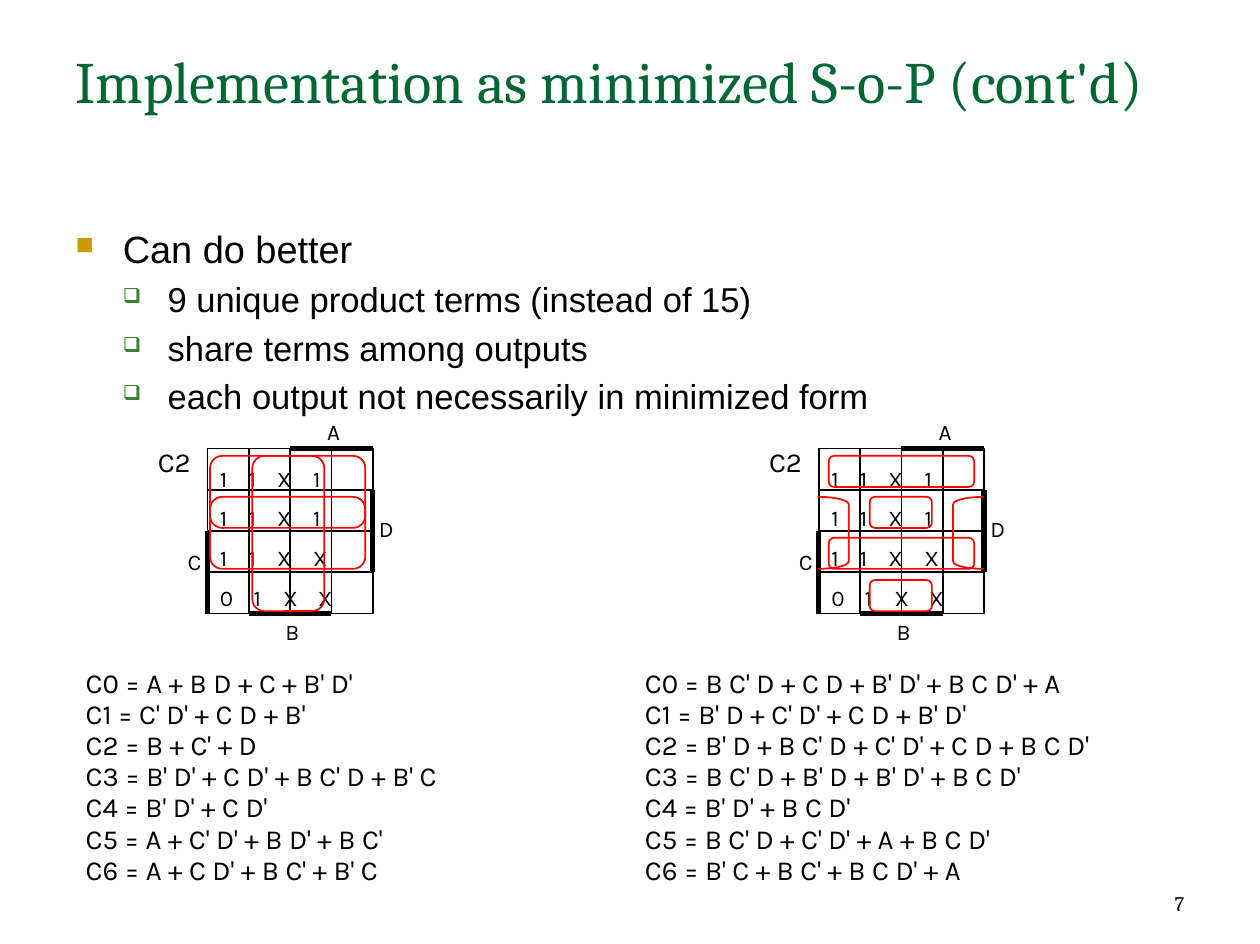
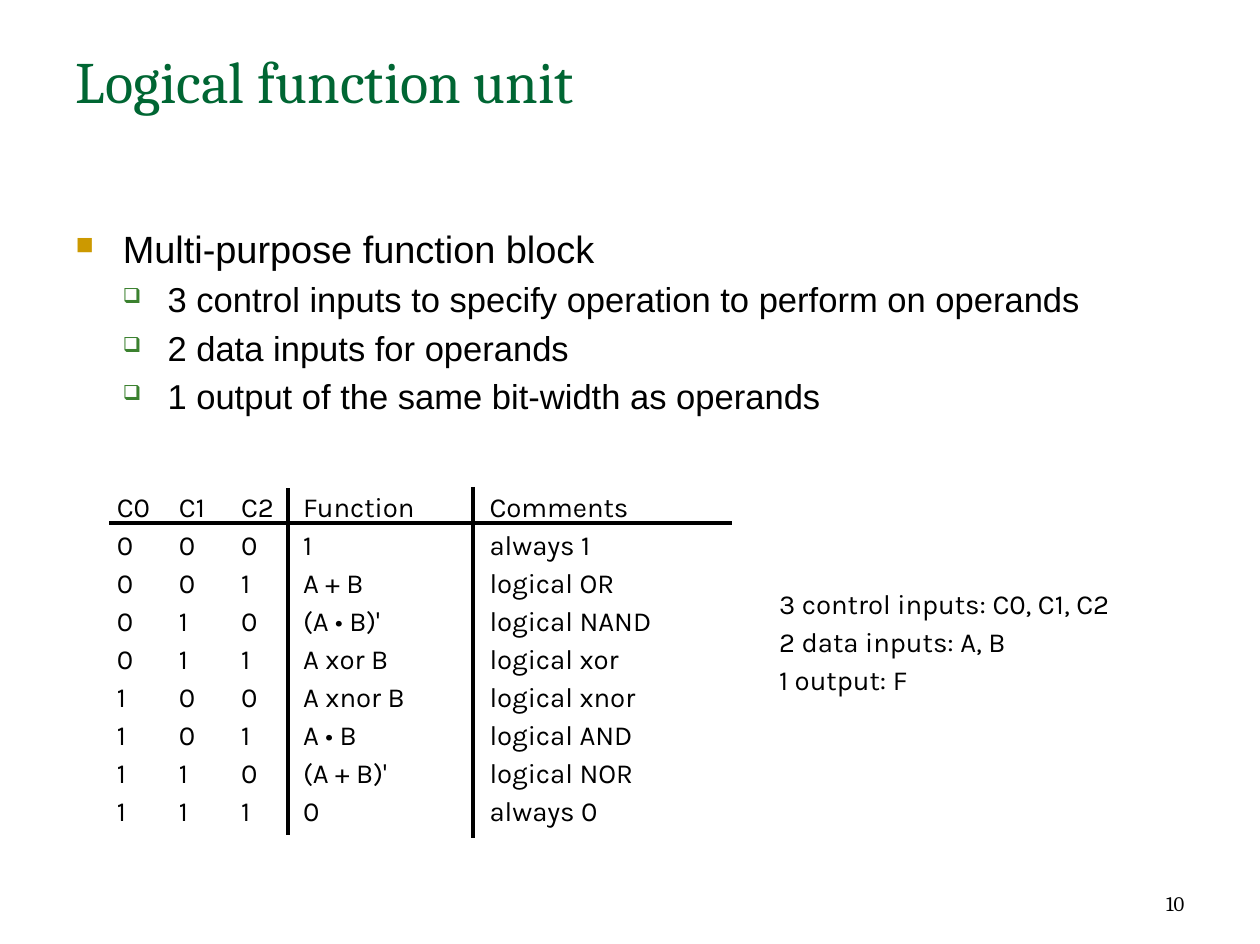
import lxml.etree
import pptx
import pptx.dml.color
import pptx.enum.shapes
import pptx.enum.text
import pptx.oxml.ns
import pptx.util
from pptx.util import Inches, Pt

BLACK = pptx.dml.color.RGBColor(0x00, 0x00, 0x00)
RED = pptx.dml.color.RGBColor(0xFF, 0x00, 0x00)
TITLE_GREEN = pptx.dml.color.RGBColor(0x00, 0x66, 0x33)
BULLET_GOLD = pptx.dml.color.RGBColor(0xCC, 0x99, 0x00)
BULLET_GREEN = pptx.dml.color.RGBColor(0x3B, 0x81, 0x2F)

TITLE_FONT, BODY_FONT, DIAGRAM_FONT = "Cambria", "Arial", "Karla"
BULLET_FONT = "Wingdings"
LEFT, CENTER, RIGHT = (pptx.enum.text.PP_ALIGN.LEFT, pptx.enum.text.PP_ALIGN.CENTER,
                       pptx.enum.text.PP_ALIGN.RIGHT)
TOP, BOTTOM = pptx.enum.text.MSO_ANCHOR.TOP, pptx.enum.text.MSO_ANCHOR.BOTTOM
SHAPE = pptx.enum.shapes.MSO_SHAPE

# Bullet levels: Wingdings character (n is a filled square, q a shadowed one),
# colour, size %, indent, hanging, font size, space before
BULLET_LEVELS = (
    ("n", BULLET_GOLD, 65, 0.38, 0.38, 22, 2.5),
    ("q", BULLET_GREEN, 60, 0.74, 0.36, 20, 4),
)

# Karnaugh map geometry, in inches from the slide's top
MAP_TOP, MAP_SIZE = 3.61, 1.33
HALF, QUARTER = MAP_SIZE / 2, MAP_SIZE / 4
MAP_ROWS = ("1\t1\tX\t1", "1\t1\tX\t1", "1\t1\tX\tX", "0\t1\tX\tX")
ONE_TABS, ZERO_TABS = (0.23, 0.46, 0.75), (0.27, 0.51, 0.79)

MINIMIZED = (
    "C0 = A + B D + C + B' D'",
    "C1 = C' D' + C D + B'",
    "C2 = B + C' + D",
    "C3 = B' D' + C D' + B C' D + B' C",
    "C4 = B' D' + C D'",
    "C5 = A + C' D' + B D' + B C'",
    "C6 = A + C D' + B C' + B' C",
)
SHARED = (
    "C0 = B C' D + C D + B' D' + B C D' + A",
    "C1 = B' D + C' D' + C D + B' D'",
    "C2 = B' D + B C' D + C' D' + C D + B C D'",
    "C3 = B C' D + B' D + B' D' + B C D'",
    "C4 = B' D' + B C D'",
    "C5 = B C' D + C' D' + A + B C D'",
    "C6 = B' C + B C' + B C D' + A",
)
TRUTH_TABLE = (
    ("C0", "C1", "C2", "Function", "Comments"),
    ("0", "0", "0", "1", "always 1"),
    ("0", "0", "1", "A + B", "logical OR"),
    ("0", "1", "0", "(A • B)'", "logical NAND"),
    ("0", "1", "1", "A xor B", "logical xor"),
    ("1", "0", "0", "A xnor B", "logical xnor"),
    ("1", "0", "1", "A • B", "logical AND"),
    ("1", "1", "0", "(A + B)'", "logical NOR"),
    ("1", "1", "1", "0", "always 0"),
)


def add_xml(parent, tag, **attributes):
    element = lxml.etree.SubElement(parent, pptx.oxml.ns.qn(tag))
    for name, value in attributes.items():
        element.set(name, str(value))
    return element


def set_font(paragraph, name, size, color=BLACK):
    paragraph.font.name = name
    paragraph.font.size = Pt(size)
    paragraph.font.color.rgb = color


def set_margins(frame, horizontal, vertical):
    frame.margin_left = frame.margin_right = Inches(horizontal)
    frame.margin_top = frame.margin_bottom = Inches(vertical)


def add_text(slide, box, lines, size, spacing, alignment=LEFT, tabs=()):
    """Add diagram text; tabs holds one tuple of tab stops for each line."""
    frame = slide.shapes.add_textbox(*map(Inches, box)).text_frame
    frame.word_wrap = True
    set_margins(frame, 0.02, 0.03)
    frame.text = "\n".join(lines)
    for index, paragraph in enumerate(frame.paragraphs):
        paragraph.alignment = alignment
        paragraph.line_spacing = Pt(spacing)
        if tabs:
            tab_list = add_xml(paragraph._p.get_or_add_pPr(), "a:tabLst")
            for stop in tabs[index]:
                add_xml(tab_list, "a:tab", pos=Inches(stop), algn="l")
        set_font(paragraph, DIAGRAM_FONT, size)


def add_bullets(slide, items):
    """Add the body: the first item is the heading, the rest are its points."""
    frame = slide.shapes.add_textbox(*map(Inches, (0.51, 1.77, 9.12, 5.02))).text_frame
    frame.word_wrap = True
    frame.text = "\n".join(items)
    for index, paragraph in enumerate(frame.paragraphs):
        level = min(index, 1)
        character, color, percent, indent, hanging, size, before = BULLET_LEVELS[level]
        paragraph.level = level
        paragraph.space_before = Pt(before)
        properties = paragraph._p.get_or_add_pPr()
        properties.set("marL", str(Inches(indent)))
        properties.set("indent", str(-Inches(hanging)))
        add_xml(add_xml(properties, "a:buClr"), "a:srgbClr", val=color)
        add_xml(properties, "a:buSzPct", val=percent * 1000)
        add_xml(properties, "a:buFont", typeface=BULLET_FONT, charset=2)
        add_xml(properties, "a:buChar", char=character)
        set_font(paragraph, BODY_FONT, size)


def add_slide(presentation, title, number, bullets):
    slide = presentation.slides.add_slide(presentation.slide_layouts[5])
    placeholder = slide.shapes.title
    placeholder.left, placeholder.top = Inches(0.51), Inches(0.31)
    placeholder.width, placeholder.height = Inches(9.12), Inches(1.26)
    placeholder.text_frame.text = title
    placeholder.text_frame.vertical_anchor = TOP
    heading = placeholder.text_frame.paragraphs[0]
    heading.alignment = LEFT
    set_font(heading, TITLE_FONT, 34, TITLE_GREEN)

    footer = slide.shapes.add_textbox(*map(Inches, (7.26, 6.91, 2.37, 0.51))).text_frame
    footer.word_wrap = True
    footer.vertical_anchor = BOTTOM
    footer.text = number
    footer.paragraphs[0].alignment = RIGHT
    set_font(footer.paragraphs[0], TITLE_FONT, 12)

    add_bullets(slide, bullets)
    return slide


def add_outline(slide, preset, box, color, adjustment=None):
    shape = slide.shapes.add_shape(preset, *map(Inches, box))
    shape.shadow.inherit = False
    shape.fill.background()
    shape.line.color.rgb = color
    shape.line.width = Pt(1)
    if adjustment is not None:
        shape.adjustments[0] = adjustment
    return shape


def add_line(slide, start=(0, 0), end=(0, 0), width=1):
    connector = slide.shapes.add_connector(
        pptx.enum.shapes.MSO_CONNECTOR.STRAIGHT, *map(Inches, (*start, *end)))
    connector.line.color.rgb = BLACK
    connector.line.width = Pt(width)
    add_xml(connector._element.spPr, "a:effectLst")
    return connector


def join(slide, first, second, side, end_side=None, width=1):
    connector = add_line(slide, width=width)
    connector.begin_connect(first, side)
    connector.end_connect(second, side if end_side is None else end_side)


def add_karnaugh_map(slide, left):
    """Add a 4 by 4 map whose thick edges mark the variables A to D."""
    right, middle = left + MAP_SIZE, left + HALF
    bottom = MAP_TOP + MAP_SIZE
    add_text(slide, (left - 0.42, MAP_TOP - 0.03, 0.4, 0.38), ["C2"], 16, 17)
    add_text(slide, (left + 0.08, MAP_TOP, 1.25, MAP_SIZE), MAP_ROWS, 13, 23,
             tabs=(ONE_TABS,) * 3 + (ZERO_TABS,))
    top_left, top_right, bottom_left, bottom_right = (
        add_outline(slide, SHAPE.RECTANGLE, (x, y, HALF, HALF), BLACK)
        for y in (MAP_TOP, MAP_TOP + HALF) for x in (left, middle))
    for upper, lower in ((top_left, bottom_left), (top_right, bottom_right)):
        join(slide, upper, lower, 0, 2)
    for near, far in ((top_left, top_right), (bottom_left, bottom_right)):
        join(slide, near, far, 1, 3)

    add_line(slide, (middle, MAP_TOP), (right, MAP_TOP), 3)
    add_line(slide, (left, MAP_TOP + HALF), (left, bottom), 3)
    join(slide, bottom_left, bottom_right, 2, width=3)
    join(slide, top_right, bottom_right, 3, width=3)
    for name, x, y, width, alignment in (
        ("A", middle + 0.03, MAP_TOP - 0.28, 0.64, CENTER),
        ("B", left + QUARTER + 0.03, bottom, 0.64, CENTER),
        ("C", left - 0.23, MAP_TOP + 0.77, 0.25, CENTER),
        ("D", right + 0.03, MAP_TOP + 0.5, 0.22, LEFT),
    ):
        add_text(slide, (x, y, width, 0.28), [name], 13, 16, alignment)


def add_loops(slide, boxes):
    for box in boxes:
        add_outline(slide, SHAPE.ROUNDED_RECTANGLE, box, RED, 0.17)


def clear_borders(cell):
    for side in ("lnL", "lnR", "lnT", "lnB"):
        line = add_xml(cell._tc.get_or_add_tcPr(), f"a:{side}", w=0)
        add_xml(line, "a:noFill")


def add_truth_table(slide):
    """Add the table with a rule under its header and around Function."""
    widths, margins = (0.5, 0.5, 0.44, 1.49, 2.08), (0.06, 0.06, 0.06, 0.12, 0.13)
    row_height = Pt(22)
    table = slide.shapes.add_table(
        len(TRUTH_TABLE), len(widths), Inches(0.88), Inches(3.92),
        Inches(sum(widths)), row_height * len(TRUTH_TABLE)).table
    table.first_row = table.horz_banding = False
    for column, width in zip(table.columns, widths):
        column.width = Inches(width)
    for row, values in enumerate(TRUTH_TABLE):
        table.rows[row].height = row_height
        for column, value in enumerate(values):
            cell = table.cell(row, column)
            cell.text = value
            cell.vertical_anchor = BOTTOM
            set_margins(cell, 0, 0)
            cell.margin_left = Inches(margins[column])
            set_font(cell.text_frame.paragraphs[0], DIAGRAM_FONT, 16)
            clear_borders(cell)
            cell.fill.background()
    for start, end in (((0.88, 4.21), (5.89, 4.21)),
                       ((2.32, 3.93), (2.32, 6.72)),
                       ((3.81, 3.92), (3.81, 6.75))):
        add_line(slide, start, end, 2.25)


def build_minimized_slide(presentation):
    slide = add_slide(presentation, "Implementation as minimized S-o-P (cont'd)", "7", (
        "Can do better",
        "9 unique product terms (instead of 15)",
        "share terms among outputs",
        "each output not necessarily in minimized form",
    ))
    add_text(slide, (0.67, 5.35, 3.6, 1.82), MINIMIZED, 16, 18)
    add_text(slide, (5.17, 5.35, 4.28, 1.82), SHARED, 16, 18)

    add_karnaugh_map(slide, 1.67)
    add_loops(slide, ((2.03, 3.67, 0.58, 1.25),
                      (1.69, 3.67, 1.25, 0.58),
                      (1.69, 4, 1.25, 0.58)))

    add_karnaugh_map(slide, 6.59)
    add_loops(slide, ((7, 4, 0.5, 0.25), (6.67, 4.33, 1.17, 0.25),
                      (6.67, 3.67, 1.17, 0.25), (7, 4.67, 0.5, 0.25)))
    for preset, left in ((SHAPE.LEFT_BRACKET, 7.67), (SHAPE.RIGHT_BRACKET, 6.58)):
        add_outline(slide, preset, (left, 4, 0.25, 0.58), RED, 0.24)


def build_function_slide(presentation):
    slide = add_slide(presentation, "Logical function unit", "10", (
        "Multi-purpose function block",
        "3 control inputs to specify operation to perform on operands",
        "2 data inputs for operands",
        "1 output of the same bit-width as operands",
    ))
    add_truth_table(slide)
    add_text(slide, (6.25, 4.66, 3.35, 1.33), (
        "3 control inputs: C0, C1, C2", "2 data inputs: A, B", "1 output: F"), 16, 22)


def main():
    presentation = pptx.Presentation()
    presentation.slide_width, presentation.slide_height = Inches(10.14), Inches(7.6)
    build_minimized_slide(presentation)
    build_function_slide(presentation)
    presentation.save("out.pptx")


if __name__ == "__main__":
    main()
